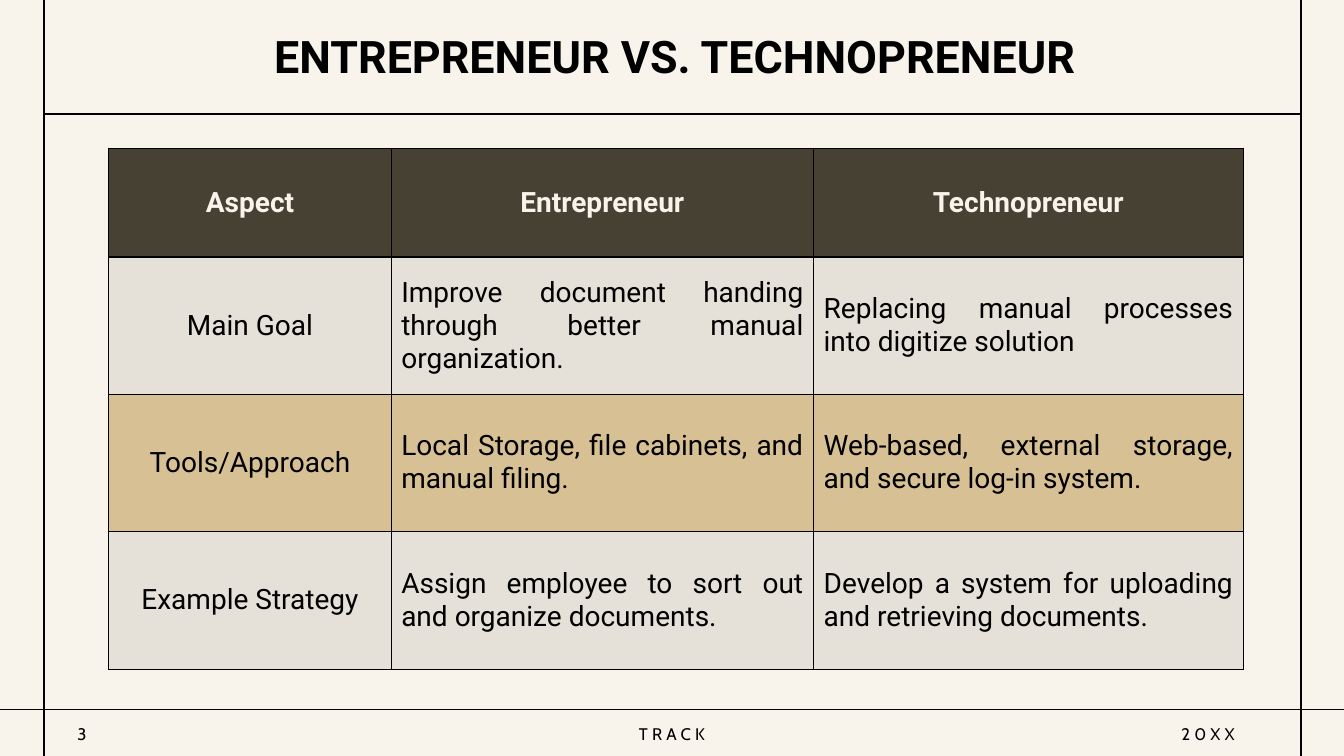
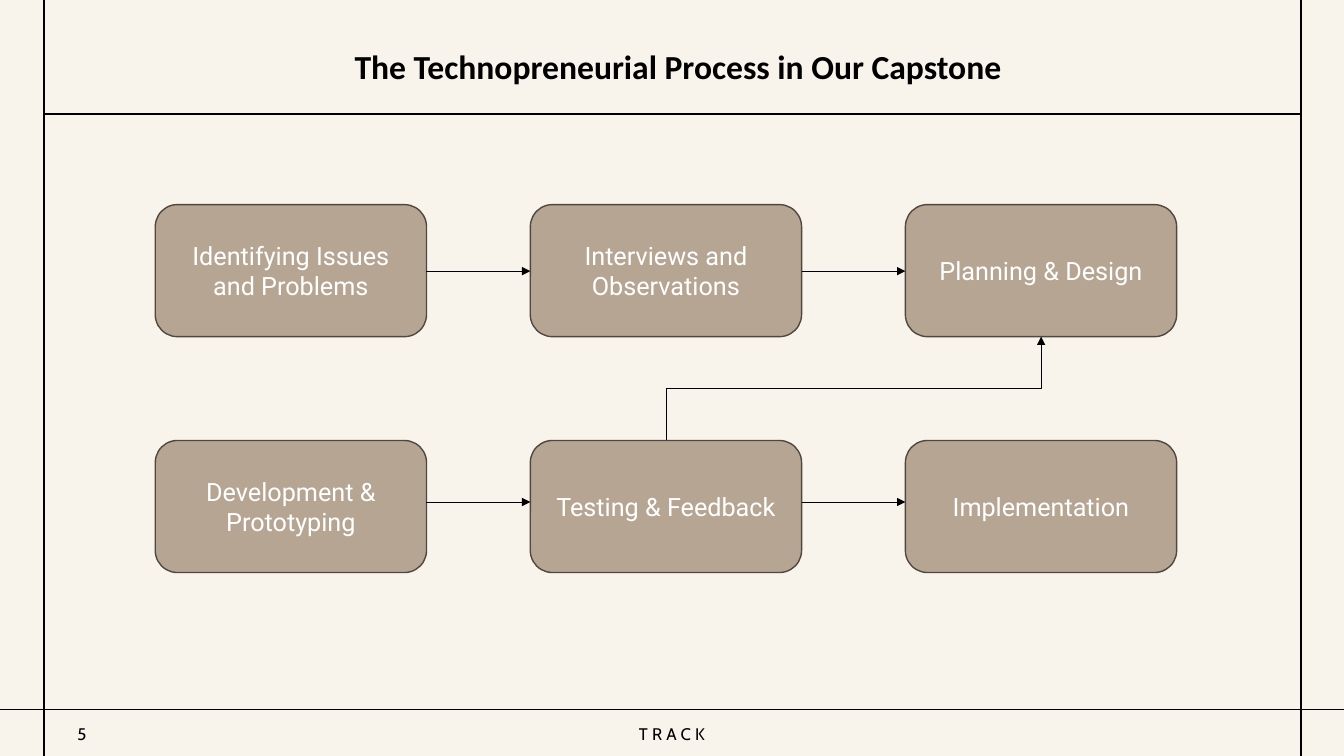
from lxml import etree
from pptx import Presentation
from pptx.dml.color import RGBColor
from pptx.enum.shapes import MSO_CONNECTOR, MSO_SHAPE
from pptx.enum.text import MSO_ANCHOR, PP_ALIGN
from pptx.oxml.ns import qn
from pptx.util import Inches, Pt

STRAIGHT, ELBOW = MSO_CONNECTOR.STRAIGHT, MSO_CONNECTOR.ELBOW
ROUNDED = MSO_SHAPE.ROUNDED_RECTANGLE
MIDDLE = MSO_ANCHOR.MIDDLE
LEFT, CENTER, JUSTIFY = PP_ALIGN.LEFT, PP_ALIGN.CENTER, PP_ALIGN.JUSTIFY

COLORS = {
    "paper": "F8F4EC",
    "ink": "000000",
    "header": "474134",
    "row": "E5E0D8",
    "row_alt": "D7C194",
    "step": "B6A592",
    "step_line": "504840",
    "step_text": "FFFFFF",
}
BODY_FONT, FOOTER_FONT = "Roboto", "Cabin"

FRAME_LINES = [
    (0.44, 1.13, 12.9, 1.13),
    (0, 7.04, 13.33, 7.04),
    (0.44, 7.5, 0.44, 0),
    (12.9, 7.5, 12.9, 0),
]
FOOTER_NAME, FOOTER_DATE = "TRACK", "20XX"

COMPARISON_TITLE = "ENTREPRENEUR VS. TECHNOPRENEUR"
COMPARISON = [
    ("Aspect", "Entrepreneur", "Technopreneur"),
    ("Main Goal",
     "Improve document handing through better manual organization.",
     "Replacing manual processes into digitize solution"),
    ("Tools/Approach",
     "Local Storage, file cabinets, and manual filing.",
     "Web-based, external storage, and secure log-in system."),
    ("Example Strategy",
     "Assign employee to sort out and organize documents.",
     "Develop a system for uploading and retrieving documents."),
]
COLUMN_WIDTHS = [2.8, 4.19, 4.26]
ROW_HEIGHTS = [1.08, 1.36, 1.36, 1.37]

PROCESS_TITLE = "The Technopreneurial Process in Our Capstone"
PROCESS = [
    ["Identifying Issues and Problems", "Interviews and Observations", "Planning & Design"],
    ["Development & Prototyping", "Testing & Feedback", "Implementation"],
]
STEP_LEFT, STEP_WIDTH, STEP_HEIGHT, STEP_PITCH = 1.54, 2.69, 1.31, 3.72
STEP_TOPS = [2.03, 4.37]
ARROW_HEIGHTS = [2.69, 4.98]


def color(name):
    return RGBColor.from_string(COLORS[name])


def write(frame, text, size, font_name, font_color="ink", bold=False, align=CENTER):
    frame.word_wrap = True
    paragraph = frame.paragraphs[0]
    paragraph.text = text
    paragraph.alignment = align
    font = paragraph.font
    font.size, font.name, font.bold = Pt(size), font_name, bold
    font.color.rgb = color(font_color)
    return paragraph


def add_text(slide, box, text, size, font_name, **style):
    frame = slide.shapes.add_textbox(*map(Inches, box)).text_frame
    frame.vertical_anchor = MIDDLE
    return write(frame, text, size, font_name, **style)


def add_line(slide, ends, width, kind=STRAIGHT, arrow=False):
    connector = slide.shapes.add_connector(kind, *map(Inches, ends))
    connector.line.color.rgb = color("ink")
    connector.line.width = Pt(width)
    if arrow:
        etree.SubElement(connector.line._get_or_add_ln(), qn("a:tailEnd"), type="triangle")
    etree.SubElement(connector._element.spPr, qn("a:effectLst"))
    return connector


def add_rising_elbow(slide, start_x, start_y, end_x, end_y):
    center_x, center_y = (start_x + end_x) / 2, (start_y + end_y) / 2
    half_run, half_rise = (end_x - start_x) / 2, (start_y - end_y) / 2
    ends = (center_x + half_rise, center_y + half_run,
            center_x - half_rise, center_y - half_run)
    connector = add_line(slide, ends, 0.5, ELBOW, arrow=True)
    connector._element.spPr.find(qn("a:xfrm")).set("rot", "5400000")


def add_footer(slide, left, width, text, align=LEFT):
    paragraph = add_text(slide, (left, 7.13, width, 0.3), text, 12, FOOTER_FONT, align=align)
    paragraph.runs[0].font._element.set("spc", "300")


def add_slide(presentation, title, title_box, title_size, title_font, number):
    slide = presentation.slides.add_slide(presentation.slide_layouts[6])
    slide.background.fill.solid()
    slide.background.fill.fore_color.rgb = color("paper")
    for ends in FRAME_LINES:
        add_line(slide, ends, 1.25)
    paragraph = add_text(slide, title_box, title, title_size, title_font, bold=True)
    paragraph.line_spacing = 0.9
    add_footer(slide, 0.67, 1.04, number)
    add_footer(slide, 5.26, 2.81, FOOTER_NAME, CENTER)
    return slide


def add_borders(cell):
    properties = cell._tc.get_or_add_tcPr()
    for side in ("lnL", "lnR", "lnT", "lnB"):
        border = etree.SubElement(properties, qn(f"a:{side}"), w=str(Pt(1)))
        fill = etree.SubElement(border, qn("a:solidFill"))
        etree.SubElement(fill, qn("a:srgbClr"), val=COLORS["ink"])


def add_comparison(slide):
    box = (1.08, 1.47, sum(COLUMN_WIDTHS), sum(ROW_HEIGHTS))
    table = slide.shapes.add_table(
        len(COMPARISON), len(COLUMN_WIDTHS), *map(Inches, box)).table
    for column, width in zip(table.columns, COLUMN_WIDTHS):
        column.width = Inches(width)
    for row, height in zip(table.rows, ROW_HEIGHTS):
        row.height = Inches(height)
    for row_index, texts in enumerate(COMPARISON):
        is_header = row_index == 0
        fill = "header" if is_header else ("row_alt", "row")[row_index % 2]
        for column_index, text in enumerate(texts):
            cell = table.cell(row_index, column_index)
            add_borders(cell)
            cell.fill.solid()
            cell.fill.fore_color.rgb = color(fill)
            cell.vertical_anchor = MIDDLE
            write(cell.text_frame, text, 20, BODY_FONT,
                  "paper" if is_header else "ink", is_header,
                  CENTER if is_header or column_index == 0 else JUSTIFY)


def add_process(slide):
    lefts = [STEP_LEFT + STEP_PITCH * index for index in range(3)]
    for steps, top, arrow_y in zip(PROCESS, STEP_TOPS, ARROW_HEIGHTS):
        for text, left in zip(steps, lefts):
            box = (left, top, STEP_WIDTH, STEP_HEIGHT)
            shape = slide.shapes.add_shape(ROUNDED, *map(Inches, box))
            shape.shadow.inherit = False
            shape.fill.solid()
            shape.fill.fore_color.rgb = color("step")
            shape.line.color.rgb = color("step_line")
            shape.line.width = Pt(1)
            shape.text_frame.vertical_anchor = MIDDLE
            write(shape.text_frame, text, 18, BODY_FONT, "step_text")
        for left, next_left in zip(lefts, lefts[1:]):
            add_line(slide, (left + STEP_WIDTH, arrow_y, next_left, arrow_y), 0.5, arrow=True)
    half = STEP_WIDTH / 2
    add_rising_elbow(slide, lefts[1] + half, STEP_TOPS[1],
                     lefts[2] + half, STEP_TOPS[0] + STEP_HEIGHT)


def main():
    presentation = Presentation()
    presentation.slide_width, presentation.slide_height = Inches(13.33), Inches(7.5)

    comparison = add_slide(presentation, COMPARISON_TITLE, (2.23, 0.06, 8.93, 1.06),
                           32, BODY_FONT, "3")
    add_footer(comparison, 11.62, 1.04, FOOTER_DATE)
    add_comparison(comparison)

    process = add_slide(presentation, PROCESS_TITLE, (2.26, 0.23, 8.93, 0.9),
                        24, "Calibri", "5")
    add_process(process)

    presentation.save("out.pptx")


if __name__ == "__main__":
    main()
